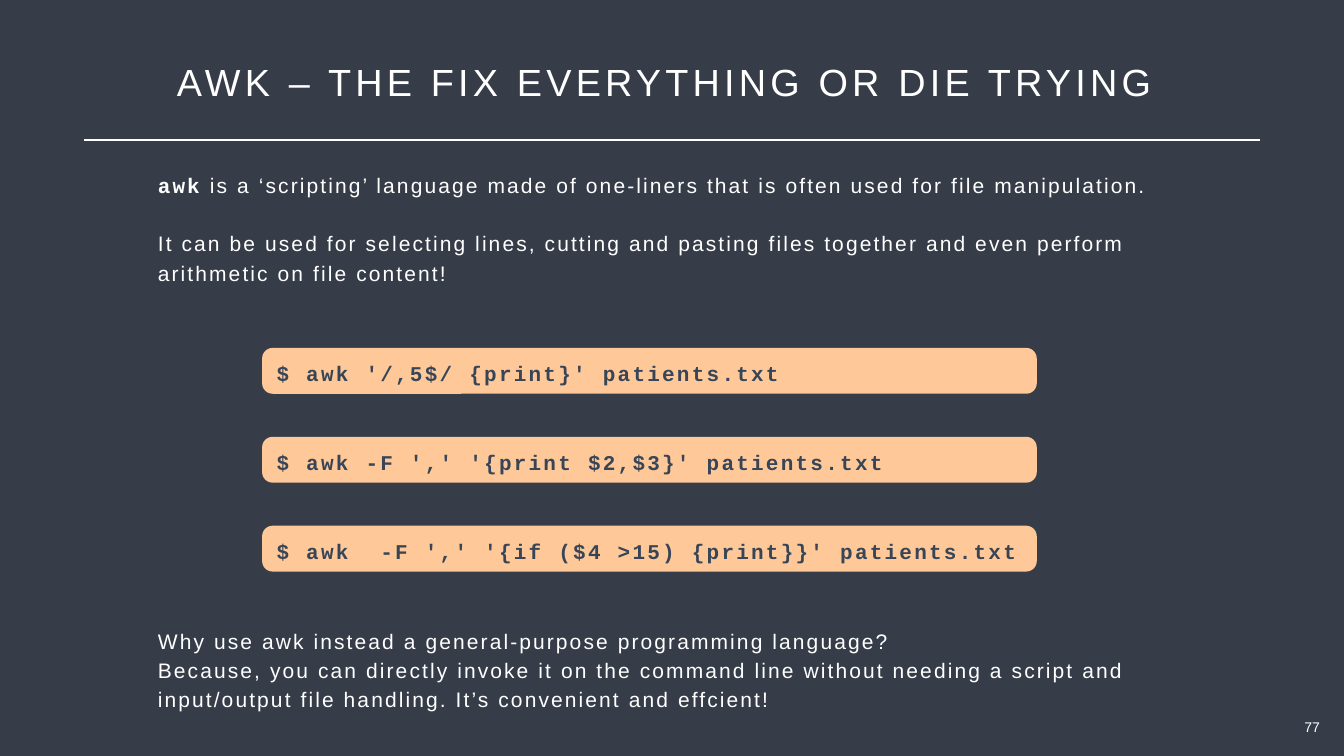
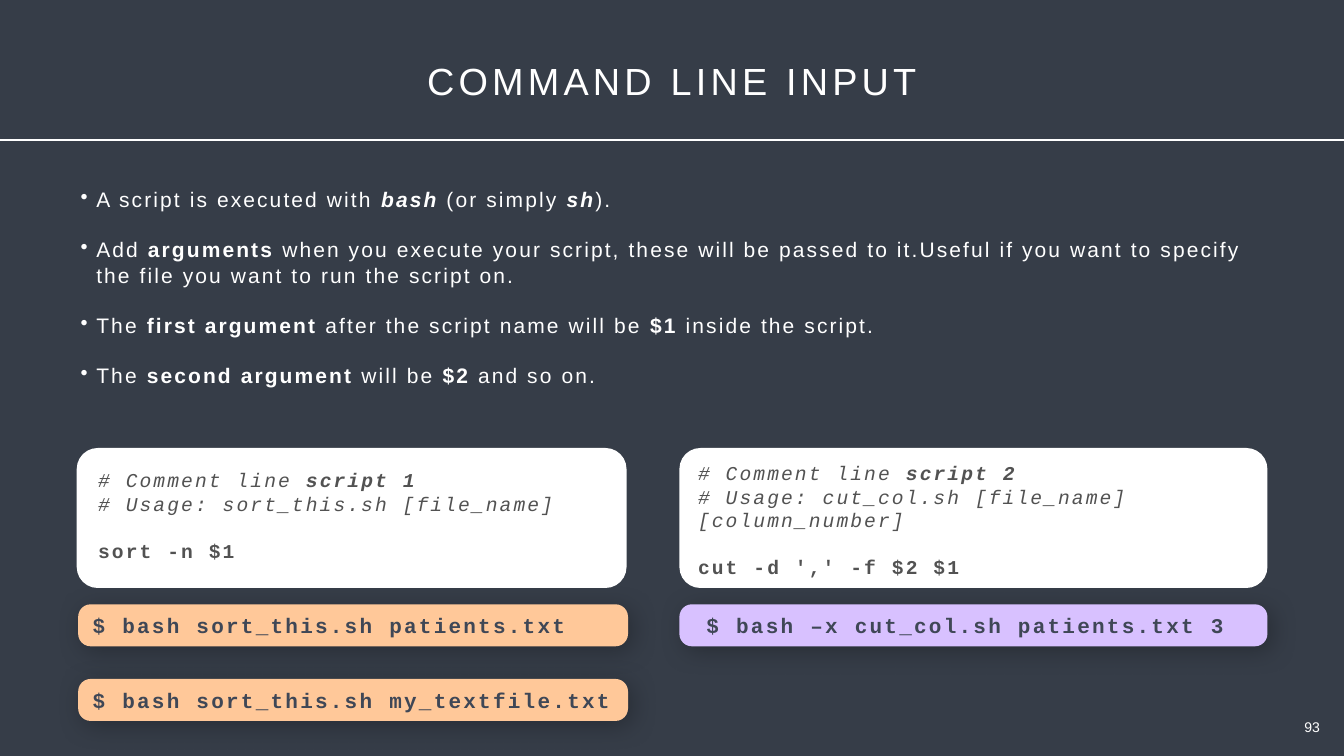
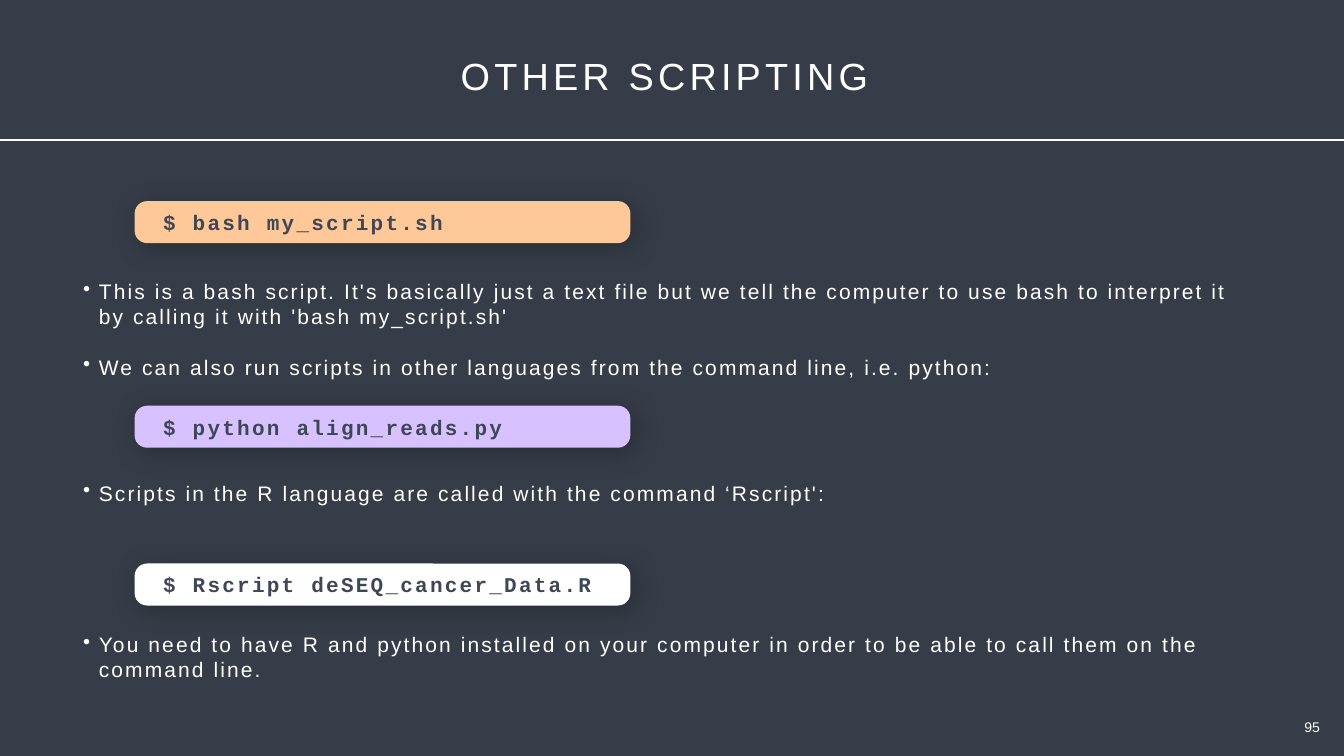
import pptx
import pptx.util
import pptx.dml.color
import pptx.enum.shapes
import pptx.enum.text
import pptx.oxml.ns
from lxml import etree

Pt = pptx.util.Pt
WIDE, HIGH = 1918.8, 1080
BACK, WHITE, PEACH, LILAC = "363D48", "FFFFFF", "FFC899", "D8C1FF"
SLATE, INK, GREY = "374556", "3F4756", "525252"
SANS, MONO = "Arial", "Courier New"
MID = pptx.enum.text.MSO_ANCHOR.MIDDLE
MIDDLE = pptx.enum.text.PP_ALIGN.CENTER


def rgb(hue):
    return pptx.dml.color.RGBColor.from_string(hue)


def node(parent, tag, **attrs):
    item = etree.SubElement(parent, pptx.oxml.ns.qn(tag))
    for key, value in attrs.items():
        item.set(key, str(value))
    return item


def text(slide, box, paras, size=30, face=SANS, hue=WHITE, track=3, lead=None,
         align=None, anchor=None, wrap=True, inset=3.6, gaps=(), dots=False,
         style=""):
    frame = slide.shapes.add_textbox(*map(Pt, box)).text_frame
    frame.word_wrap = wrap
    frame.margin_left = frame.margin_right = Pt(inset)
    frame.margin_top = frame.margin_bottom = Pt(inset)
    if anchor is not None:
        frame.vertical_anchor = anchor
    for i, para in enumerate(paras):
        line = frame.add_paragraph() if i else frame.paragraphs[0]
        if dots:
            props = line._p.get_or_add_pPr()
            props.set("marL", str(Pt(22.3)))
            props.set("indent", str(-Pt(22.3)))
            node(props, "a:buChar", char="•")
        if align is not None:
            line.alignment = align
        if lead:
            line.line_spacing = Pt(lead)
        line.space_before = Pt(gaps[i] if gaps else 0)
        for part in [(para, style)] if isinstance(para, str) else para:
            words, look = part
            run = line.add_run()
            run.text = words
            font = run.font
            font.size = Pt(size)
            font.name = MONO if "m" in look else face
            font.color.rgb = rgb(hue)
            font.bold = "b" in look
            font.italic = "i" in look
            if track:
                run._r.get_or_add_rPr().set("spc", str(round(track * 100)))


def panel(slide, box, fill, round_by, shade=False):
    shape = slide.shapes.add_shape(
        pptx.enum.shapes.MSO_SHAPE.ROUNDED_RECTANGLE, *map(Pt, box))
    shape.adjustments[0] = round_by
    shape.fill.solid()
    shape.fill.fore_color.rgb = rgb(fill)
    shape.line.fill.background()
    shape.shadow.inherit = False
    if shade:
        effects = shape._element.spPr.find(pptx.oxml.ns.qn("a:effectLst"))
        cast = node(effects, "a:outerShdw", blurRad=Pt(36), dist=Pt(8),
                    dir=45 * 60000, algn="tl", rotWithShape=0)
        node(node(cast, "a:srgbClr", val="000000"), "a:alpha", val=26000)


def command(slide, box, fill, words, indent, round_by=0.297, shade=True,
            tall=42, lead=36, hue=INK):
    left, top, wide, high = box
    panel(slide, box, fill, round_by, shade)
    text(slide, (left + indent, top + (high - tall) / 2, wide - indent, tall),
         [words], face=MONO, hue=hue, track=3.2, lead=lead, anchor=MID, style="b")


def card(slide, box, pad, name, usage, code):
    left, top, wide, high = box
    across, down = pad
    panel(slide, box, WHITE, 0.15)
    text(slide, (left + across, top + down, wide - 2 * across, high - 2 * down),
         [[("# Comment line ", "i"), (name, "bi")], [(usage, "i")], [(code, "b")]],
         size=28, face=MONO, hue=GREY, lead=33.6, gaps=(0, 0, 33.6))


def base(deck, title, wide, top, page, edge=0):
    slide = deck.slides.add_slide(deck.slide_layouts[6])
    slide.background.fill.solid()
    slide.background.fill.fore_color.rgb = rgb(BACK)
    text(slide, ((WIDE - wide) / 2, top, wide, 72), [title], size=54, track=6,
         align=MIDDLE, wrap=False)
    rule = slide.shapes.add_connector(
        pptx.enum.shapes.MSO_CONNECTOR.STRAIGHT,
        Pt(edge), Pt(200), Pt(WIDE - edge), Pt(200))
    rule.line.color.rgb = rgb(WHITE)
    rule.line.width = Pt(3)
    node(rule._element.spPr, "a:effectLst")
    text(slide, (1854.7, 1019.5, 37.4, 38.5), [page], size=20, track=0,
         align=MIDDLE, wrap=False, inset=7.2)
    return slide


def awk(deck):
    slide = base(deck, "AWK – THE FIX EVERYTHING OR DIE TRYING ", 1425, 80.6,
                 "77", edge=120)
    text(slide, (221.8, 236.2, 1464.5, 216.7), [
        [("awk", "bm"), (" is a ‘scripting’ language made of one-liners that is "
                         "often used for file manipulation.", "")],
        "It can be used for selecting lines, cutting and pasting files together "
        "and even perform arithmetic on file content!"],
        lead=42, gaps=(0, 42))
    calls = ["$ awk '/,5$/ {print}' patients.txt",
             "$ awk -F ',' '{print $2,$3}' patients.txt",
             "$ awk  -F ',' '{if ($4 >15) {print}}' patients.txt"]
    for i, call in enumerate(calls):
        command(slide, (374.2, 497 + 127 * i, 1106, 65.5), PEACH, call, 17,
                round_by=0.229, shade=False, tall=130, lead=42, hue=SLATE)
    text(slide, (221.8, 887.8, 1464.5, 131.8), [
        "Why use awk instead a general-purpose programming language?",
        "Because, you can directly invoke it on the command line without needing "
        "a script and input/output file handling. It’s convenient and effcient!"],
        lead=42)


def inputs(deck):
    slide = base(deck, "COMMAND LINE INPUT", 713.5, 79.2, "93")
    text(slide, (111.6, 262.8, 1688.4, 298), [
        [("A script is executed with ", ""), ("bash", "bi"),
         (" (or simply ", ""), ("sh", "bi"), (").", "")],
        [("Add ", ""), ("arguments", "b"),
         (" when you execute your script, these will be passed to it.Useful if "
          "you want to specify the file you want to run the script on.", "")],
        [("The", ""), (" first argument", "b"),
         (" after the script name will be ", ""), ("$1 ", "b"),
         ("inside the script.", "")],
        [("The ", ""), ("second argument", "b"), (" will be ", ""),
         ("$2", "b"), (" and so on.", "")]],
        lead=36, gaps=(0, 36, 36, 36), dots=True)
    card(slide, (109.5, 640, 785, 200), (27, 25), "script 1",
         "# Usage: sort_this.sh [file_name]", "sort -n $1")
    card(slide, (970, 640, 839.5, 200), (23, 15), "script 2",
         "# Usage: cut_col.sh [file_name] [column_number]",
         "cut -d ',' -f $2 $1")
    for i, name in enumerate(["patients.txt", "my_textfile.txt"]):
        command(slide, (111.6, 863.3 + 106.6 * i, 785, 60), PEACH,
                "$ bash sort_this.sh " + name, 17)
    command(slide, (970, 863.3, 839.5, 60), LILAC,
            "$ bash –x cut_col.sh patients.txt 3", 35)


def other(deck):
    slide = base(deck, "OTHER SCRIPTING ", 617, 71.3, "95")
    text(slide, (115.2, 394.6, 1688.4, 589), [
        "This is a bash script. It's basically just a text file but we tell the "
        "computer to use bash to interpret it by calling it with 'bash my_script.sh'",
        "We can also run scripts in other languages from the command line, i.e. python:",
        "Scripts in the R language are called with the command ‘Rscript':",
        "You need to have R and python installed on your computer in order to be "
        "able to call them on the command line."],
        lead=36, gaps=(0, 36, 144, 180), dots=True)
    for top, fill, call in [(287.3, PEACH, "$ bash my_script.sh"),
                            (579.6, LILAC, "$ python align_reads.py"),
                            (805, WHITE, "$ Rscript deSEQ_cancer_Data.R")]:
        command(slide, (192.2, top, 707.8, 60), fill, call, 37)


def main():
    deck = pptx.Presentation()
    deck.slide_width, deck.slide_height = Pt(WIDE), Pt(HIGH)
    for build in (awk, inputs, other):
        build(deck)
    deck.save("out.pptx")


if __name__ == "__main__":
    main()
